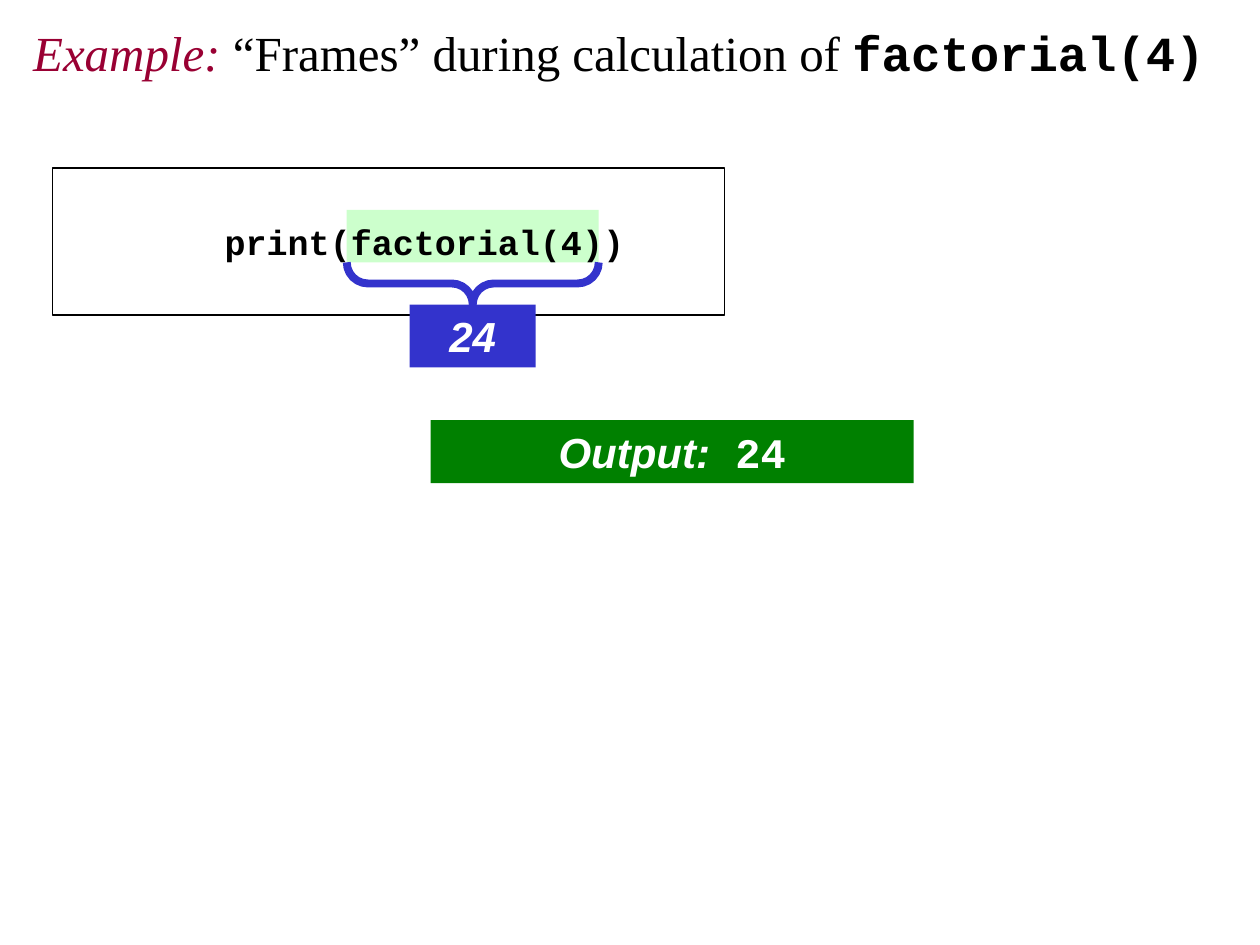
import pptx
import pptx.dml.color
import pptx.enum.shapes
import pptx.enum.text
import pptx.util

Cm = pptx.util.Cm
Pt = pptx.util.Pt
Shape = pptx.enum.shapes.MSO_SHAPE
Align = pptx.enum.text.PP_ALIGN

THEME = {
    "ink": "000000", "accent": "990033", "highlight": "CCFFCC",
    "value": "3333CC", "output": "008000", "light": "FFFFFF",
    "serif": "Times New Roman", "sans": "Arial", "mono": "Courier New",
    "title": 28, "code": 20, "label": 24,
}

# Content: each span is (text, font, colour, bold, italic)
TITLE = [
    ("Example: ", "serif", "accent", False, True),
    ("“Frames” during calculation of ", "serif", "ink", False, False),
    ("factorial(4)", "mono", "ink", True, False),
]
CODE = [("print(factorial(4))", "mono", "ink", True, False)]
VALUE = [("24", "sans", "light", True, True)]
OUTPUT = [
    ("Output:", "sans", "light", True, True),
    (" 24", "mono", "light", True, False),
]

# Layout in centimetres: left, top, width, height
TITLE_AREA = (0.42, 0.42, 24.34, 1.27)
FRAME_AREA = (1.06, 3.39, 13.55, 2.96)
CALL_AREA = (6.99, 4.23, 5.08, 1.06)
OUTPUT_AREA = (8.68, 8.47, 9.74, 1.27)
VALUE_SIZE = (2.54, 1.27)
BRACE_DEPTH = 0.85
CODE_INDENT = 3.47


def color(name):
    return pptx.dml.color.RGBColor.from_string(THEME[name])


def add_box(page, area, shape=Shape.RECTANGLE, fill=None, line=None, width=0.75):
    box = page.shapes.add_shape(shape, *map(Cm, area))
    box.shadow.inherit = False
    if fill:
        box.fill.solid()
        box.fill.fore_color.rgb = color(fill)
    else:
        box.fill.background()
    if line:
        box.line.color.rgb = color(line)
        box.line.width = Pt(width)
    else:
        box.line.fill.background()
    return box


def write(box, spans, size, align=Align.LEFT, indent=0.25):
    frame = box.text_frame
    frame.word_wrap = True
    frame.vertical_anchor = pptx.enum.text.MSO_ANCHOR.MIDDLE
    frame.margin_left = Cm(indent)
    para = frame.paragraphs[0]
    para.alignment = align
    for text, font, ink, bold, italic in spans:
        span = para.add_run()
        span.text = text
        span.font.name = THEME[font]
        span.font.size = Pt(THEME[size])
        span.font.color.rgb = color(ink)
        span.font.bold = bold
        span.font.italic = italic


def main():
    deck = pptx.Presentation()
    deck.slide_width, deck.slide_height = Cm(25.4), Cm(19.05)
    page = deck.slides.add_slide(deck.slide_layouts[6])

    # Highlight behind the call, then the title and the code frame
    add_box(page, CALL_AREA, fill="highlight")
    write(page.shapes.add_textbox(*map(Cm, TITLE_AREA)), TITLE, "title")
    write(add_box(page, FRAME_AREA, line="ink"), CODE, "code", indent=CODE_INDENT)

    # Brace under the call: an upright brace turned about its centre
    left, top, width, height = CALL_AREA
    middle, bottom = left + width / 2, top + height
    brace_area = (middle - BRACE_DEPTH / 2, bottom + (BRACE_DEPTH - width) / 2,
                  BRACE_DEPTH, width)
    brace = add_box(page, brace_area, Shape.RIGHT_BRACE, line="value", width=4.5)
    brace.adjustments[0] = brace.adjustments[1] = 0.5
    brace.rotation = 90

    # Returned value at the brace tip, and the printed output
    value_area = (middle - VALUE_SIZE[0] / 2, bottom + BRACE_DEPTH, *VALUE_SIZE)
    for area, fill, spans in ((value_area, "value", VALUE),
                              (OUTPUT_AREA, "output", OUTPUT)):
        write(add_box(page, area, fill=fill), spans, "label", Align.CENTER)

    deck.save("out.pptx")


if __name__ == "__main__":
    main()
